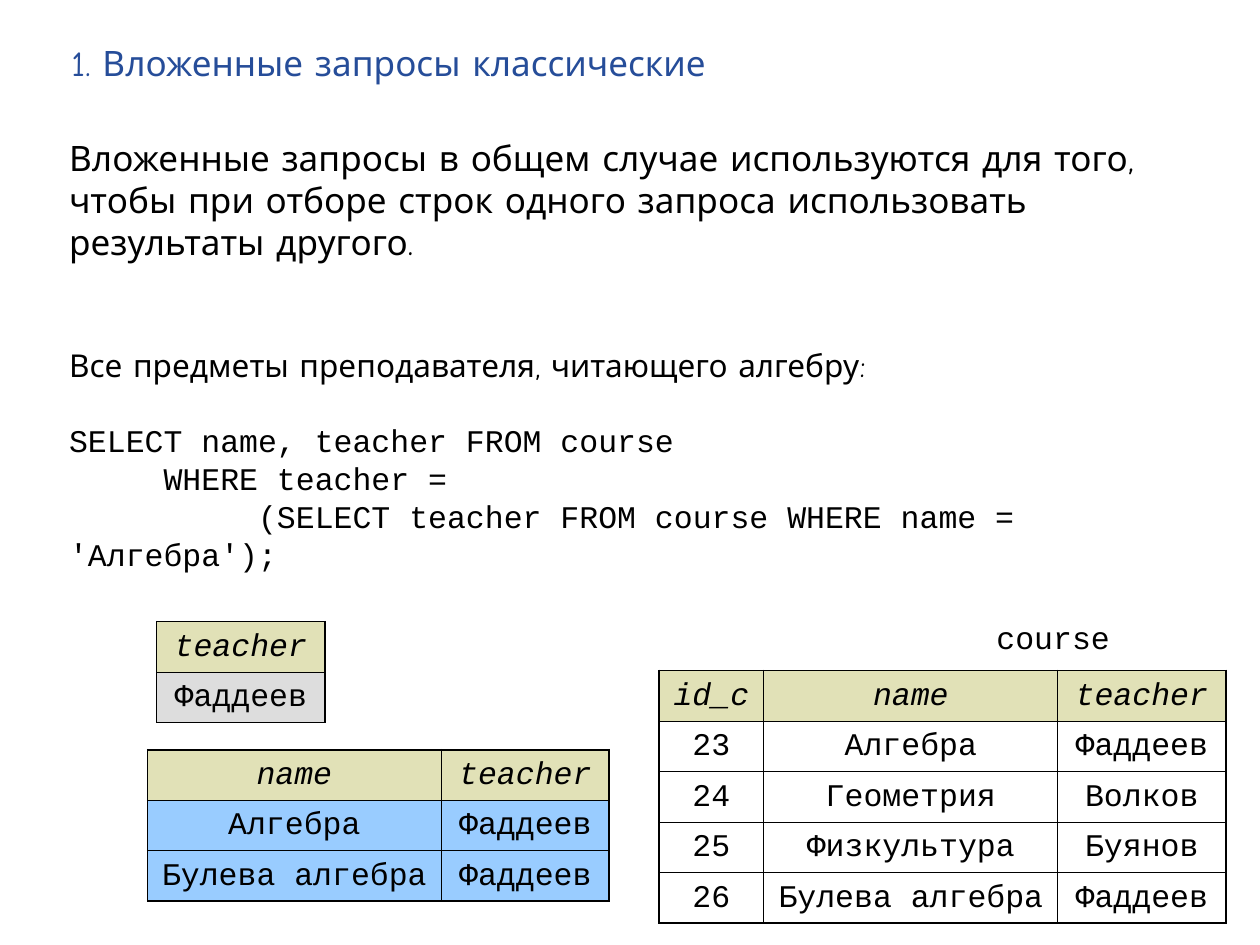
from dataclasses import dataclass

from lxml import etree
from pptx import Presentation
from pptx.dml.color import RGBColor
from pptx.enum.text import MSO_ANCHOR, PP_ALIGN
from pptx.oxml.ns import qn
from pptx.util import Pt

CENTER, LEFT, TOP = PP_ALIGN.CENTER, PP_ALIGN.LEFT, MSO_ANCHOR.TOP
BLACK = RGBColor(0x00, 0x00, 0x00)
BLUE = RGBColor(0x26, 0x4D, 0x99)
OLIVE = RGBColor(0xE1, 0xE1, 0xB7)
GRAY = RGBColor(0xDD, 0xDD, 0xDD)
SKY = RGBColor(0x99, 0xCC, 0xFF)

PROSE, CODE = "Comic Neue", "Courier New"
LINE_SPACING = 1.2
ROW_HEIGHT = 28.8
THIN, THICK = 0.45, 1.08
ID_WIDTH, NAME_WIDTH, TEACHER_WIDTH = 60, 168, 96


@dataclass(frozen=True)
class Line:
    text: str
    font: str = CODE
    size: float = 18
    color: RGBColor = BLACK
    italic: bool = False
    before: float = 0
    indent: float = 0
    align: PP_ALIGN = LEFT


@dataclass(frozen=True)
class TextBlock:
    left: float
    top: float
    width: float
    height: float
    lines: tuple[Line, ...]


@dataclass(frozen=True)
class Grid:
    left: float
    top: float
    widths: tuple[float, ...]
    rows: tuple[tuple[str, ...], ...]
    thick_sides: str
    body_fill: RGBColor | None = None


BLOCKS = (
    TextBlock(32.4, 74.2, 668, 232.6, (
        Line("Вложенные запросы в общем случае используются для того, чтобы при "
             "отборе строк одного запроса использовать результаты другого.", PROSE, 20),
        Line("Все предметы преподавателя, читающего алгебру:", PROSE, before=47.7),
        Line("SELECT name, teacher FROM course", before=21.6),
        Line("WHERE teacher =", indent=54),
        Line("(SELECT teacher FROM course WHERE name = 'Алгебра');", indent=108),
    )),
    TextBlock(562.3, 349.9, 126, 28.8, (Line("course"),)),
    TextBlock(33.8, 20.2, 468, 31.7,
              (Line("1. Вложенные запросы классические", PROSE, 20, BLUE),)),
)

GRIDS = (
    Grid(376.5, 383.2, (ID_WIDTH, NAME_WIDTH, TEACHER_WIDTH), (
        ("id_c", "name", "teaсher"),
        ("23", "Алгебра", "Фаддеев"),
        ("24", "Геометрия", "Волков"),
        ("25", "Физкультура", "Буянов"),
        ("26", "Булева алгебра", "Фаддеев"),
    ), "LTRB"),
    Grid(89.6, 355.2, (TEACHER_WIDTH,), (("teaсher",), ("Фаддеев",)), "TR", GRAY),
    Grid(84.2, 428.4, (NAME_WIDTH, TEACHER_WIDTH), (
        ("name", "teaсher"),
        ("Алгебра", "Фаддеев"),
        ("Булева алгебра", "Фаддеев"),
    ), "TRB", SKY),
)


def write_lines(frame, lines: tuple[Line, ...]) -> None:
    for index, line in enumerate(lines):
        para = frame.add_paragraph() if index else frame.paragraphs[0]
        para_format = {
            "alignment": line.align,
            "line_spacing": Pt(line.size * LINE_SPACING),
            "space_before": Pt(line.before),
        }
        for name, value in para_format.items():
            setattr(para, name, value)
        if line.indent:
            para._p.get_or_add_pPr().set("indent", str(Pt(line.indent)))
        span = para.add_run()
        span.text = line.text
        span.font.color.rgb = line.color
        font_format = {"name": line.font, "size": Pt(line.size), "italic": line.italic}
        for name, value in font_format.items():
            setattr(span.font, name, value)


def draw_block(page, block: TextBlock) -> None:
    box = page.shapes.add_textbox(
        Pt(block.left), Pt(block.top), Pt(block.width), Pt(block.height))
    box.text_frame.word_wrap = True
    write_lines(box.text_frame, block.lines)


def set_borders(cell, thick_sides: str) -> None:
    """Rule all four sides of a cell, placing the lines ahead of its fill."""
    properties = cell._tc.get_or_add_tcPr()
    for index, side in enumerate("LRTB"):
        width = THICK if side in thick_sides else THIN
        border = etree.Element(qn(f"a:ln{side}"), w=str(Pt(width)))
        fill = etree.SubElement(border, qn("a:solidFill"))
        etree.SubElement(fill, qn("a:srgbClr"), val=str(BLACK))
        properties.insert(index, border)


def draw_grid(page, grid: Grid) -> None:
    row_count, column_count = len(grid.rows), len(grid.widths)
    table = page.shapes.add_table(
        row_count, column_count, Pt(grid.left), Pt(grid.top),
        Pt(sum(grid.widths)), Pt(ROW_HEIGHT * row_count)).table
    table.first_row = table.horz_banding = False
    for column, width in zip(table.columns, grid.widths):
        column.width = Pt(width)
    for row_index, texts in enumerate(grid.rows):
        table.rows[row_index].height = Pt(ROW_HEIGHT)
        is_header = row_index == 0
        fill_color = OLIVE if is_header else grid.body_fill
        for column_index, text in enumerate(texts):
            cell = table.cell(row_index, column_index)
            cell.vertical_anchor = TOP
            if fill_color is None:
                cell.fill.background()
            else:
                cell.fill.solid()
                cell.fill.fore_color.rgb = fill_color
            outer = {
                "L": column_index == 0,
                "T": is_header,
                "R": column_index == column_count - 1,
                "B": row_index == row_count - 1,
            }
            set_borders(cell, "".join(s for s in grid.thick_sides if outer[s]))
            write_lines(cell.text_frame, (Line(text, italic=is_header, align=CENTER),))


def main() -> None:
    deck = Presentation()
    deck.slide_width, deck.slide_height = Pt(720), Pt(540)
    page = deck.slides.add_slide(deck.slide_layouts[6])
    for block in BLOCKS:
        draw_block(page, block)
    for grid in GRIDS:
        draw_grid(page, grid)
    deck.save("out.pptx")


if __name__ == "__main__":
    main()
